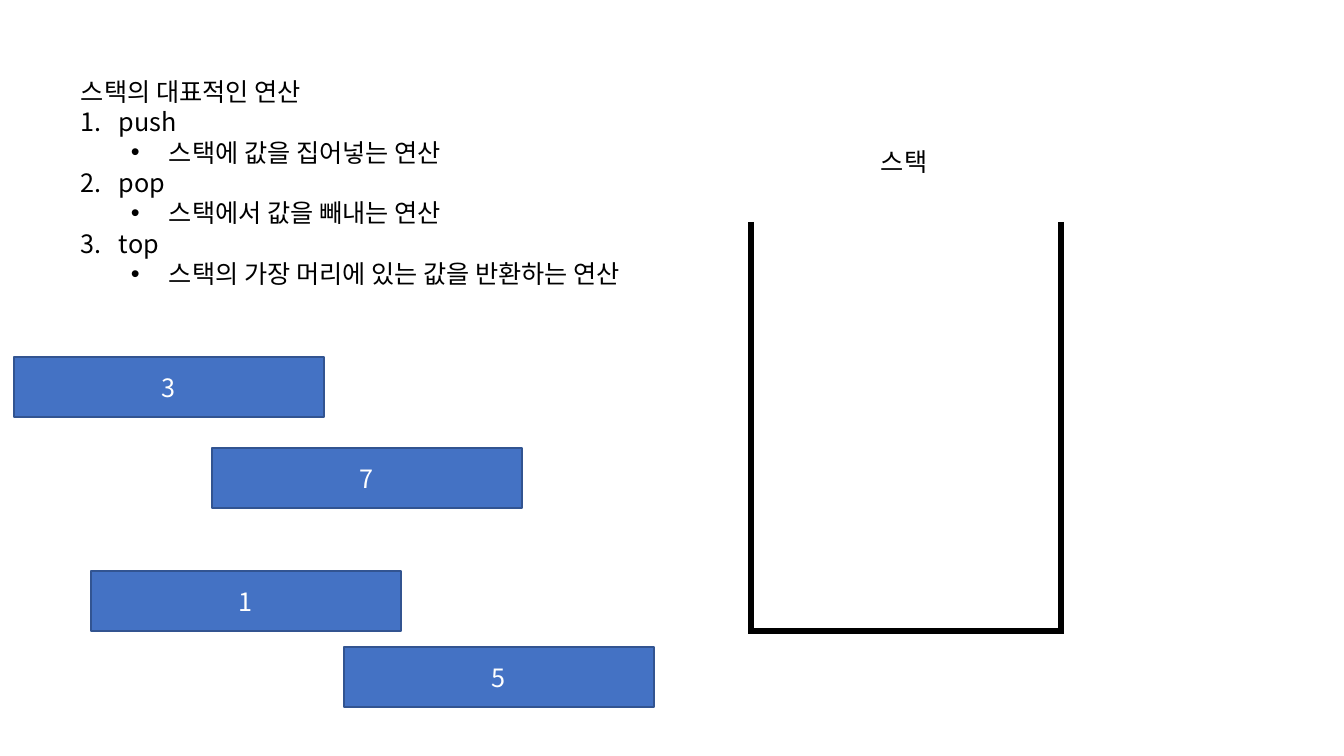
"""Build a slide that lists the stack operations beside an empty stack and loose blocks."""
from lxml.etree import SubElement
from pptx import Presentation
from pptx.dml.color import RGBColor
from pptx.enum.shapes import MSO_SHAPE
from pptx.enum.text import MSO_ANCHOR, PP_ALIGN
from pptx.oxml.ns import qn
from pptx.util import Pt

FONT = "Noto Sans CJK KR"
COLORS = {"block": "4472C4", "edge": "325491", "light": "FFFFFF", "ink": "000000"}


def px(length):
    return round(length * 914400 / 100.8)


def write(para, text, color):
    para.line_spacing = Pt(21.7)
    span = para.add_run()
    span.text = text
    for name, value in {"size": Pt(18), "name": FONT}.items():
        setattr(span.font, name, value)
    span.font.color.rgb = RGBColor.from_string(COLORS[color])
    SubElement(span.font._element, qn("a:ea"), typeface=FONT)


deck = Presentation()
deck.slide_width, deck.slide_height = px(1344), px(756)
page = deck.slides.add_slide(deck.slide_layouts[6])

blocks = [("1", 91, 571), ("5", 344, 647), ("3", 14, 357), ("7", 212, 448)]
for value, left, top in blocks:
    block = page.shapes.add_shape(MSO_SHAPE.RECTANGLE, px(left), px(top), px(310), px(60))
    block.shadow.inherit = False
    block.fill.solid()
    block.fill.fore_color.rgb = RGBColor.from_string(COLORS["block"])
    block.line.color.rgb = RGBColor.from_string(COLORS["edge"])
    block.line.width = Pt(1)
    block.text_frame.vertical_anchor = MSO_ANCHOR.MIDDLE
    para = block.text_frame.paragraphs[0]
    para.alignment = PP_ALIGN.CENTER
    write(para, value, "light")

operations = [
    ("push", "스택에 값을 집어넣는 연산"),
    ("pop", "스택에서 값을 빼내는 연산"),
    ("top", "스택의 가장 머리에 있는 값을 반환하는 연산"),
]
box = page.shapes.add_textbox(px(71), px(71), px(622), px(224))
box.text_frame.word_wrap = True
write(box.text_frame.paragraphs[0], "스택의 대표적인 연산", "ink")
for operation in operations:
    for level, text in enumerate(operation):
        para = box.text_frame.add_paragraph()
        para.level = level
        write(para, text, "ink")
        layout = para._p.get_or_add_pPr()
        layout.set("marL", str(px(38 + 50 * level)))
        layout.set("indent", str(px(-38)))
        if level:
            SubElement(layout, qn("a:buFont"), typeface="Arial")
            SubElement(layout, qn("a:buChar"), char="•")
        else:
            SubElement(layout, qn("a:buFont"), typeface="+mj-lt")
            SubElement(layout, qn("a:buAutoNum"), type="arabicPeriod")

label = page.shapes.add_textbox(px(871), px(141), px(72), px(40))
label.text_frame.word_wrap = True
write(label.text_frame.paragraphs[0], "스택", "ink")

stack = page.shapes.add_table(1, 1, px(751), px(222), px(310), px(409)).table
stack.first_row = stack.horz_banding = False
cell = stack.cell(0, 0)
borders = cell._tc.get_or_add_tcPr()
for side in "LRTB":
    border = SubElement(borders, qn(f"a:ln{side}"), w=str(Pt(4.5)))
    if side == "T":
        SubElement(border, qn("a:noFill"))
    else:
        fill = SubElement(border, qn("a:solidFill"))
        SubElement(fill, qn("a:srgbClr"), val=COLORS["ink"])
cell.fill.background()

deck.save("out.pptx")
